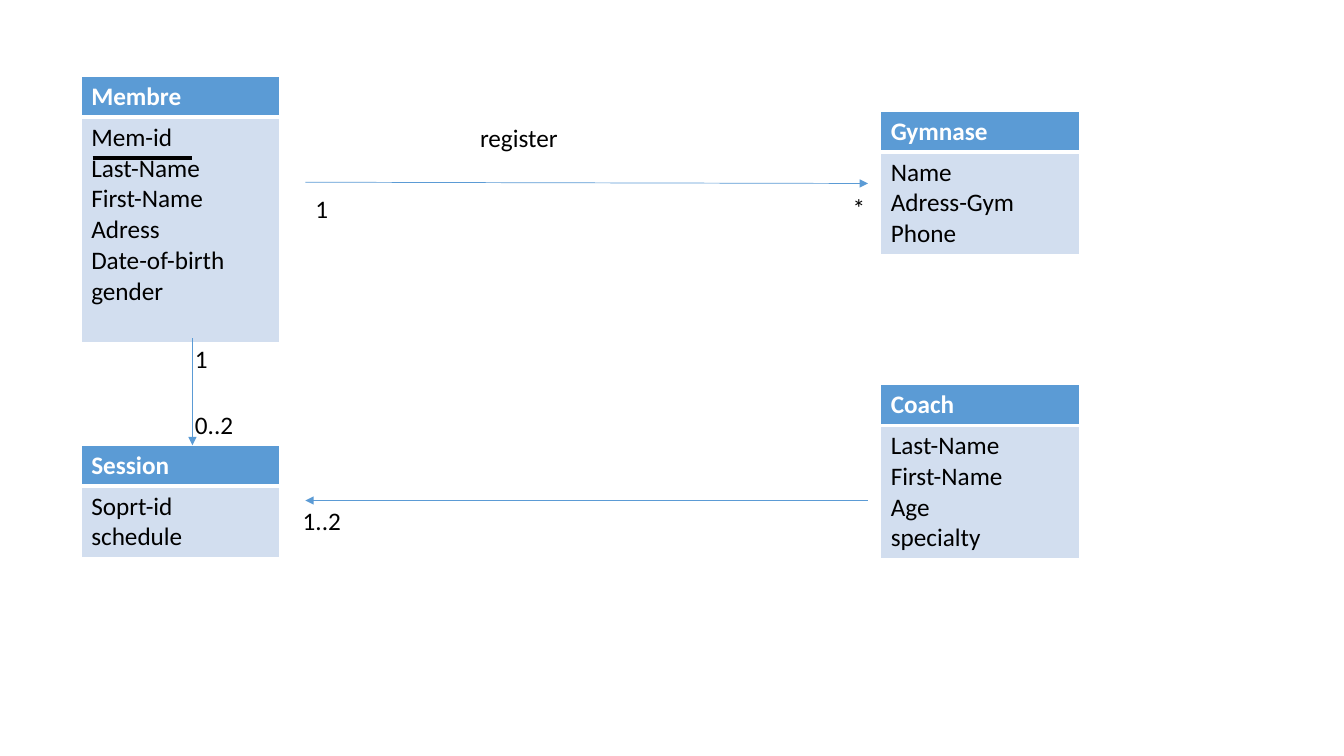
import pptx
import pptx.util
import pptx.dml.color
import pptx.enum.shapes
import pptx.enum.text
import pptx.oxml
import pptx.oxml.ns

RGBColor = pptx.dml.color.RGBColor
WHITE = RGBColor(0xFF, 0xFF, 0xFF)
BLACK = RGBColor(0x00, 0x00, 0x00)
BLUE = RGBColor(0x5B, 0x9B, 0xD5)
PALE_BLUE = RGBColor(0xD2, 0xDE, 0xEF)

FONT = "Calibri"
SIZE = 18
WIDTH = pptx.util.Inches(13.33)
HEIGHT = pptx.util.Inches(7.5)

LEFT_COL, RIGHT_COL = 6.04, 65.53
ENTITY_W, HEADER_H = 14.77, 5.4
LINE_H, CELL_PAD = 4.07, 1.33
LINK_LEFT, LINK_RIGHT = 22.72, 64.58
SESSION_X, SESSION_TOP, COACH_LINK_Y = 14.32, 58.9, 66.2
LABEL_H = 5.33


def across(share):
    """Turn a percentage of the slide width into a length."""
    return int(WIDTH * share / 100)


def down(share):
    """Turn a percentage of the slide height into a length."""
    return int(HEIGHT * share / 100)


def add_run(p, text, color=BLACK, bold=False):
    """Add one run of text to a paragraph."""
    r = p.add_run()
    r.text = text
    r.font.name = FONT
    r.font.size = pptx.util.Pt(SIZE)
    r.font.bold = bold
    r.font.color.rgb = color


def set_borders(cell, **widths):
    """Give the cell white borders, with widths in points by side."""
    tc_pr = cell._tc.get_or_add_tcPr()
    for i, side in enumerate("LRTB"):
        width = pptx.util.Pt(widths.get(side, 1))
        ln = pptx.oxml.parse_xml(
            f'<a:ln{side} {pptx.oxml.ns.nsdecls("a")} w="{width}"><a:solidFill>'
            f'<a:srgbClr val="{WHITE}"/></a:solidFill></a:ln{side}>')
        tc_pr.insert(i, ln)


def fill_cell(cell, lines, fill, color, bold=False):
    """Fill a cell with colour and one paragraph per line."""
    cell.fill.solid()
    cell.fill.fore_color.rgb = fill
    tf = cell.text_frame
    for i, text in enumerate(lines):
        p = tf.add_paragraph() if i else tf.paragraphs[0]
        add_run(p, text, color, bold)


def add_entity(s, name, fields, x, y, spare_lines=0):
    """Add a one-column table with an entity name above its fields."""
    body_h = CELL_PAD + LINE_H * (len(fields) + spare_lines)
    table = s.shapes.add_table(2, 1, across(x), down(y), across(ENTITY_W),
                               down(HEADER_H + body_h)).table
    for row, share in zip(table.rows, (HEADER_H, body_h)):
        row.height = down(share)
    header, body = table.cell(0, 0), table.cell(1, 0)
    fill_cell(header, [name], BLUE, WHITE, bold=True)
    fill_cell(body, fields, PALE_BLUE, BLACK)
    set_borders(header, B=3)
    set_borders(body, T=3)


def add_line(s, start, end, color=BLUE, width=0.5, arrow=True):
    """Add a straight line, with an arrowhead at its end if wanted."""
    c = s.shapes.add_connector(pptx.enum.shapes.MSO_CONNECTOR.STRAIGHT,
                               across(start[0]), down(start[1]),
                               across(end[0]), down(end[1]))
    c.line.color.rgb = color
    c.line.width = pptx.util.Pt(width)
    ns = pptx.oxml.ns.nsdecls("a")
    if arrow:
        c.line._get_or_add_ln().append(
            pptx.oxml.parse_xml(f'<a:tailEnd {ns} type="triangle"/>'))
    c._element.spPr.append(pptx.oxml.parse_xml(f"<a:effectLst {ns}/>"))


def add_label(s, text, x, y, w, wrap=False):
    """Add a relation name or a multiplicity."""
    sp = s.shapes.add_textbox(across(x), down(y), across(w), down(LABEL_H))
    tf = sp.text_frame
    tf.word_wrap = wrap
    tf.auto_size = pptx.enum.text.MSO_AUTO_SIZE.SHAPE_TO_FIT_TEXT
    add_run(tf.paragraphs[0], text)


def main():
    """Build the class diagram of the gym."""
    prs = pptx.Presentation()
    prs.slide_width, prs.slide_height = WIDTH, HEIGHT
    s = prs.slides.add_slide(prs.slide_layouts[6])

    add_entity(s, "Membre", ["Mem-id", "Last-Name", "First-Name", "Adress",
                             "Date-of-birth", "gender"],
               LEFT_COL, 10.1, spare_lines=1)
    add_entity(s, "Coach", ["Last-Name", "First-Name", "Age", "specialty"],
               RIGHT_COL, 50.88)
    add_entity(s, "Session", ["Soprt-id", "schedule"], LEFT_COL, SESSION_TOP)
    add_entity(s, "Gymnase", ["Name", "Adress-Gym", "Phone"], RIGHT_COL, 14.72)

    add_line(s, (6.9, 20.93), (SESSION_X, 20.93), BLACK, 3, arrow=False)
    add_line(s, (LINK_LEFT, 24.1), (LINK_RIGHT, 24.27))
    add_line(s, (SESSION_X, 44.75), (SESSION_X, SESSION_TOP))
    add_line(s, (LINK_RIGHT, COACH_LINK_Y), (LINK_LEFT, COACH_LINK_Y))

    for text, x, y, w in (("1", LINK_LEFT, 24.93, 2.5),
                          ("*", 62.7, 24.8, 2.5),
                          ("1..2", 21.78, COACH_LINK_Y, 4.35),
                          ("0..2", 13.77, 53.47, 4.35),
                          ("1", 13.77, 44.8, 2.5)):
        add_label(s, text, x, y, w)
    add_label(s, "register", 34.98, 15.47, 9.45, wrap=True)

    prs.save("out.pptx")


main()
